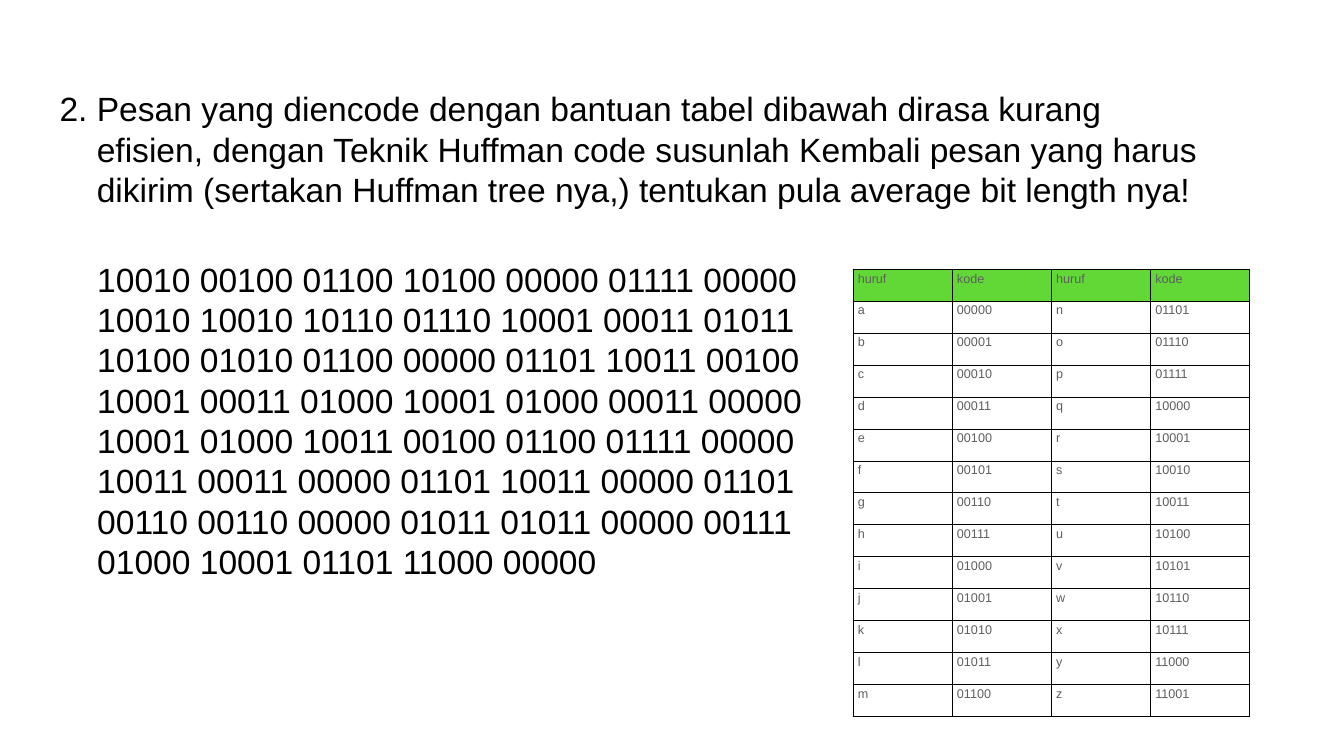
import pptx
import pptx.dml.color
import pptx.enum.text
import pptx.oxml
import pptx.oxml.ns
import pptx.util
from pptx.util import Cm

COLORS = {"text": "000000", "cell": "5E5E5E", "header": "61D836", "border": "000000"}
BODY = {"name": "Arial", "size": pptx.util.Pt(48)}
CELL = {"name": "Arial", "size": pptx.util.Pt(18)}
NO_MARGINS = dict.fromkeys(("margin_left", "margin_right", "margin_top", "margin_bottom"), 0)

QUESTION = [
    "2. Pesan yang diencode dengan bantuan tabel dibawah dirasa kurang",
    "efisien, dengan Teknik Huffman code susunlah Kembali pesan yang harus",
    "dikirim (sertakan Huffman tree nya,) tentukan pula average bit length nya!",
]
MESSAGE = [
    "10010 00100 01100 10100 00000 01111 00000",
    "10010 10010 10110 01110 10001 00011 01011",
    "10100 01010 01100 00000 01101 10011 00100",
    "10001 00011 01000 10001 01000 00011 00000",
    "10001 01000 10011 00100 01100 01111 00000",
    "10011 00011 00000 01101 10011 00000 01101",
    "00110 00110 00000 01011 01011 00000 00111",
    "01000 10001 01101 11000 00000",
]
LETTERS = "abcdefghijklmnopqrstuvwxyz"


def set_attrs(obj, values):
    for name, value in values.items():
        setattr(obj, name, value)


def add_run(p, text, font, color):
    r = p.add_run()
    r.text = text
    set_attrs(r.font, font)
    r.font.color.rgb = pptx.dml.color.RGBColor.from_string(COLORS[color])


def add_lines(s, lines, left, top, width, height, indent=0):
    """Add one paragraph per line, indenting all but the first."""
    tf = s.shapes.add_textbox(left, top, width, height).text_frame
    set_attrs(tf, NO_MARGINS)
    tf.word_wrap = True
    tf.auto_size = pptx.enum.text.MSO_AUTO_SIZE.SHAPE_TO_FIT_TEXT
    for i, line in enumerate(lines):
        p = tf.add_paragraph() if i else tf.paragraphs[0]
        p.line_spacing = pptx.util.Pt(57.6)
        if i and indent:
            p._p.get_or_add_pPr().set("marL", str(indent))
        add_run(p, line, BODY, "text")


def add_borders(cell):
    tcPr = cell._tc.get_or_add_tcPr()
    for i, side in enumerate(("lnL", "lnR", "lnT", "lnB")):
        ln = pptx.oxml.parse_xml(
            f'<a:{side} {pptx.oxml.ns.nsdecls("a")} w="{pptx.util.Pt(0.75)}"><a:solidFill>'
            f'<a:srgbClr val="{COLORS["border"]}"/></a:solidFill></a:{side}>')
        tcPr.insert(i, ln)


def code_rows():
    """Pair each letter with its five-bit index, in two halves side by side."""
    pairs = [(letter, f"{i:05b}") for i, letter in enumerate(LETTERS)]
    half = len(pairs) // 2
    return [("huruf", "kode") * 2] + [a + b for a, b in zip(pairs[:half], pairs[half:])]


def add_code_table(s, left, top, col_width, row_height):
    rows = code_rows()
    n_rows, n_cols = len(rows), len(rows[0])
    table = s.shapes.add_table(n_rows, n_cols, left, top,
                               col_width * n_cols, row_height * n_rows).table
    set_attrs(table, {"first_row": False, "horz_banding": False})
    for col in table.columns:
        col.width = col_width
    for i, values in enumerate(rows):
        table.rows[i].height = row_height
        for j, value in enumerate(values):
            cell = table.cell(i, j)
            add_run(cell.text_frame.paragraphs[0], value, CELL, "cell")
            if i == 0:
                cell.fill.solid()
                cell.fill.fore_color.rgb = pptx.dml.color.RGBColor.from_string(COLORS["header"])
            else:
                cell.fill.background()
            add_borders(cell)


def main():
    prs = pptx.Presentation()
    set_attrs(prs, {"slide_width": Cm(67.74), "slide_height": Cm(38.1)})
    s = prs.slides.add_slide(prs.slide_layouts[6])
    add_lines(s, QUESTION, Cm(3), Cm(4.45), Cm(57.76), Cm(6.22), indent=Cm(1.88))
    add_lines(s, MESSAGE, Cm(4.9), Cm(13.03), Cm(36.68), Cm(16.46))
    add_code_table(s, Cm(42.98), Cm(13.56), Cm(5), Cm(1.61))
    prs.save("out.pptx")


if __name__ == "__main__":
    main()
